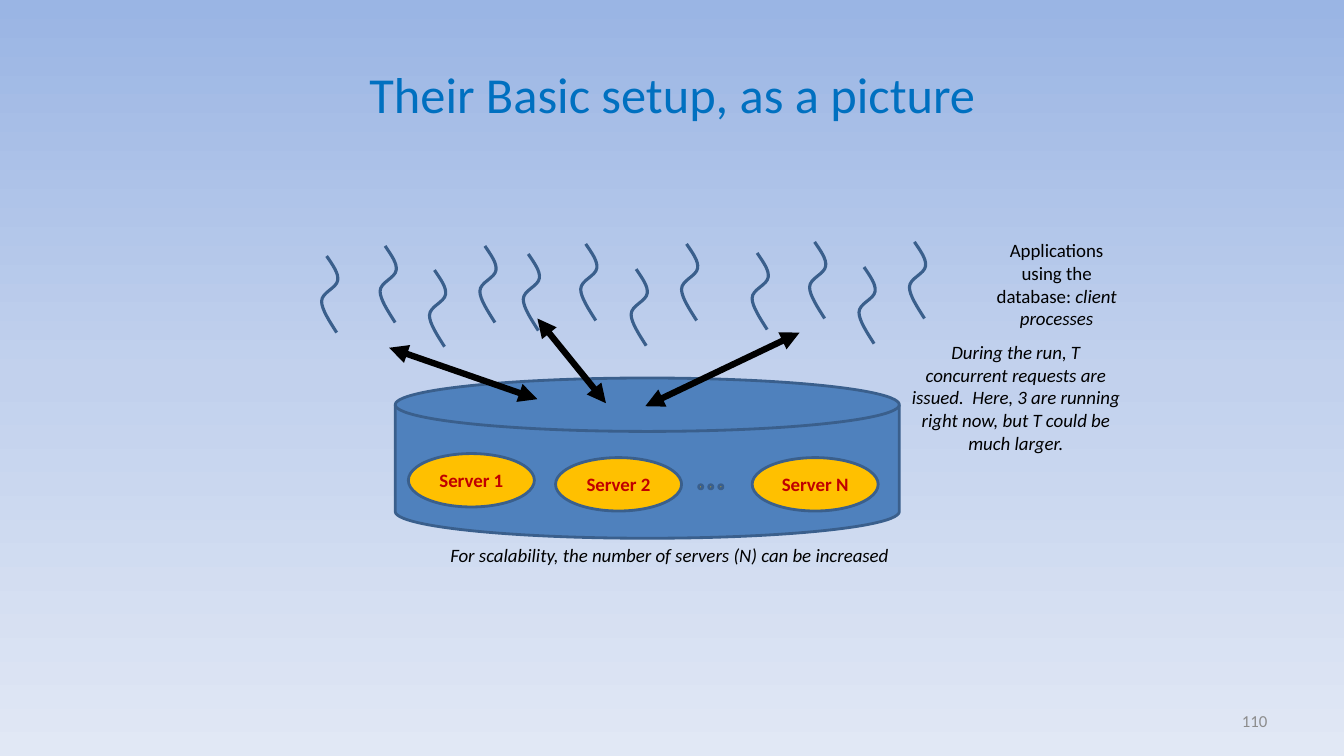
import copy
from typing import NamedTuple

import lxml.etree
import pptx
import pptx.dml.color
import pptx.enum.shapes
import pptx.enum.text
import pptx.oxml.ns
import pptx.util

Inches = pptx.util.Inches
Pt = pptx.util.Pt
qn = pptx.oxml.ns.qn
SHAPE = pptx.enum.shapes.MSO_SHAPE
ALIGN = pptx.enum.text.PP_ALIGN
ANCHOR = pptx.enum.text.MSO_ANCHOR

COLORS = {
    "title": "0070C0", "text": "000000", "number": "8C8C8C",
    "disk": "4F81BD", "outline": "3A5F8C",
    "server": "FFC000", "server_text": "C00000",
}
BACKGROUND = ["9AB5E4", "C2D1ED", "E1E8F5"]
FONT = "Calibri"


class Box(NamedTuple):
    left: float
    top: float
    width: float
    height: float


class Server(NamedTuple):
    name: str
    left: float
    top: float


class Arrow(NamedTuple):
    x1: float
    y1: float
    x2: float
    y2: float


class Client(NamedTuple):
    left: float
    top: float


SERVERS = [Server("Server 1", 4.05, 4.5), Server("Server 2", 5.51, 4.54),
           Server("Server N", 7.46, 4.54)]
ARROWS = [Arrow(3.86, 3.45, 5.33, 3.96), Arrow(7.93, 3.3, 6.4, 4.03),
          Arrow(5.33, 3.16, 6.01, 4)]
CLIENTS = [Client(*at) for at in (
    (3.19, 2.54), (3.77, 2.44), (4.26, 2.68), (4.76, 2.44),
    (5.19, 2.52), (5.76, 2.42), (6.26, 2.67), (6.76, 2.42),
    (7.46, 2.51), (8.03, 2.4), (8.52, 2.65), (9.02, 2.4))]
# Bezier knots (every third point) and handles, from the top left corner
SQUIGGLE = [(0.05, 0), (0.11, 0.09), (0.17, 0.17), (0.16, 0.24), (0.15, 0.32),
            (0, 0.36), (0, 0.45), (0, 0.53), (0.08, 0.65), (0.15, 0.76)]


def rgb(value: str) -> pptx.dml.color.RGBColor:
    return pptx.dml.color.RGBColor.from_string(value)


def write(tf, text: str, *, size: float = 13.5, color: str = "text",
          bold: bool = False, italic: bool = False, align=ALIGN.CENTER,
          anchor=ANCHOR.TOP, wrap: bool = True) -> None:
    """Append a formatted run to the first paragraph of a text frame."""
    tf.word_wrap = wrap
    tf.vertical_anchor = anchor
    p = tf.paragraphs[0]
    p.alignment = align
    r = p.add_run()
    r.text = text
    r.font.name = FONT
    r.font.size = Pt(size)
    r.font.bold = bold
    r.font.italic = italic
    r.font.color.rgb = rgb(COLORS[color])


def add_text_box(slide, box: Box):
    return slide.shapes.add_textbox(*map(Inches, box)).text_frame


def add_outlined_shape(slide, kind, box: Box, fill: str):
    sp = slide.shapes.add_shape(kind, *map(Inches, box))
    sp.shadow.inherit = False
    sp.fill.solid()
    sp.fill.fore_color.rgb = rgb(COLORS[fill])
    sp.line.color.rgb = rgb(COLORS["outline"])
    sp.line.width = Pt(2)
    return sp


def bend_segments(sp) -> None:
    """Turn the straight segments between squiggle knots into cubic curves."""
    segments = sp.element.findall(".//" + qn("a:lnTo"))
    for i, segment in enumerate(segments):
        curve = lxml.etree.Element(qn("a:cubicBezTo"))
        for x, y in SQUIGGLE[3 * i + 1:3 * i + 4]:
            lxml.etree.SubElement(curve, qn("a:pt"), x=str(Inches(x)), y=str(Inches(y)))
        segment.getparent().replace(segment, curve)


def add_client(slide, client: Client) -> None:
    knots = [(Inches(client.left + x), Inches(client.top + y))
             for x, y in SQUIGGLE[::3]]
    builder = slide.shapes.build_freeform(*knots[0])
    builder.add_line_segments(knots[1:], close=False)
    sp = builder.convert_to_shape()
    bend_segments(sp)
    sp.shadow.inherit = False
    sp.fill.background()
    sp.line.color.rgb = rgb(COLORS["outline"])
    sp.line.width = Pt(2.25)


def add_arrow(slide, arrow: Arrow) -> None:
    cn = slide.shapes.add_connector(
        pptx.enum.shapes.MSO_CONNECTOR.STRAIGHT, *map(Inches, arrow))
    cn.line.color.rgb = rgb(COLORS["text"])
    cn.line.width = Pt(4.5)
    props = cn.element.spPr
    for end in ("a:headEnd", "a:tailEnd"):
        lxml.etree.SubElement(props.find(qn("a:ln")), qn(end), type="triangle")
    lxml.etree.SubElement(props, qn("a:effectLst"))


def paint_background(slide) -> None:
    fill = slide.background.fill
    fill.gradient()
    fill.gradient_angle = 270
    stops = slide.element.find(".//" + qn("a:gsLst"))
    stops.append(copy.deepcopy(stops[-1]))
    for i, (stop, color) in enumerate(zip(fill.gradient_stops, BACKGROUND)):
        stop.position = i / (len(BACKGROUND) - 1)
        stop.color.rgb = rgb(color)


def main() -> None:
    prs = pptx.Presentation()
    prs.slide_width = Inches(13.33)
    prs.slide_height = Inches(7.5)
    slide = prs.slides.add_slide(prs.slide_layouts.get_by_name("Title Only"))
    paint_background(slide)

    title = slide.shapes.title
    title.left, title.top, title.width, title.height = map(
        Inches, Box(0.67, 0.3, 12, 1.25))
    write(title.text_frame, "Their Basic setup, as a picture", size=36,
          color="title", anchor=ANCHOR.MIDDLE)
    write(add_text_box(slide, Box(9.56, 6.95, 3.11, 0.4)), "110", size=12,
          color="number", align=ALIGN.RIGHT, anchor=ANCHOR.MIDDLE)

    add_outlined_shape(slide, SHAPE.FLOWCHART_MAGNETIC_DISK,
                       Box(3.92, 3.75, 5, 1.59), "disk")
    for client in CLIENTS:
        add_client(slide, client)
    write(add_text_box(slide, Box(4.1, 5.34, 5.08, 0.33)),
          "For scalability, the number of servers (N) can be increased", italic=True)

    for server in SERVERS:
        sp = add_outlined_shape(slide, SHAPE.OVAL,
                                Box(server.left, server.top, 1.25, 0.53), "server")
        write(sp.text_frame, server.name, color="server_text", bold=True,
              anchor=ANCHOR.MIDDLE, wrap=False)
    for i in range(3):
        add_outlined_shape(slide, SHAPE.OVAL,
                           Box(6.93 + 0.1 * i, 4.81, 0.04, 0.04), "server")

    applications = add_text_box(slide, Box(9.71, 2.32, 1.54, 1.01))
    write(applications, "Applications using the database: ")
    write(applications, "client processes", italic=True)
    write(add_text_box(slide, Box(8.92, 3.33, 2.31, 1.24)),
          "During the run, T concurrent requests are issued.  Here, 3 are "
          "running right now, but T could be much larger.", italic=True)
    for arrow in ARROWS:
        add_arrow(slide, arrow)

    prs.save("out.pptx")


if __name__ == "__main__":
    main()
